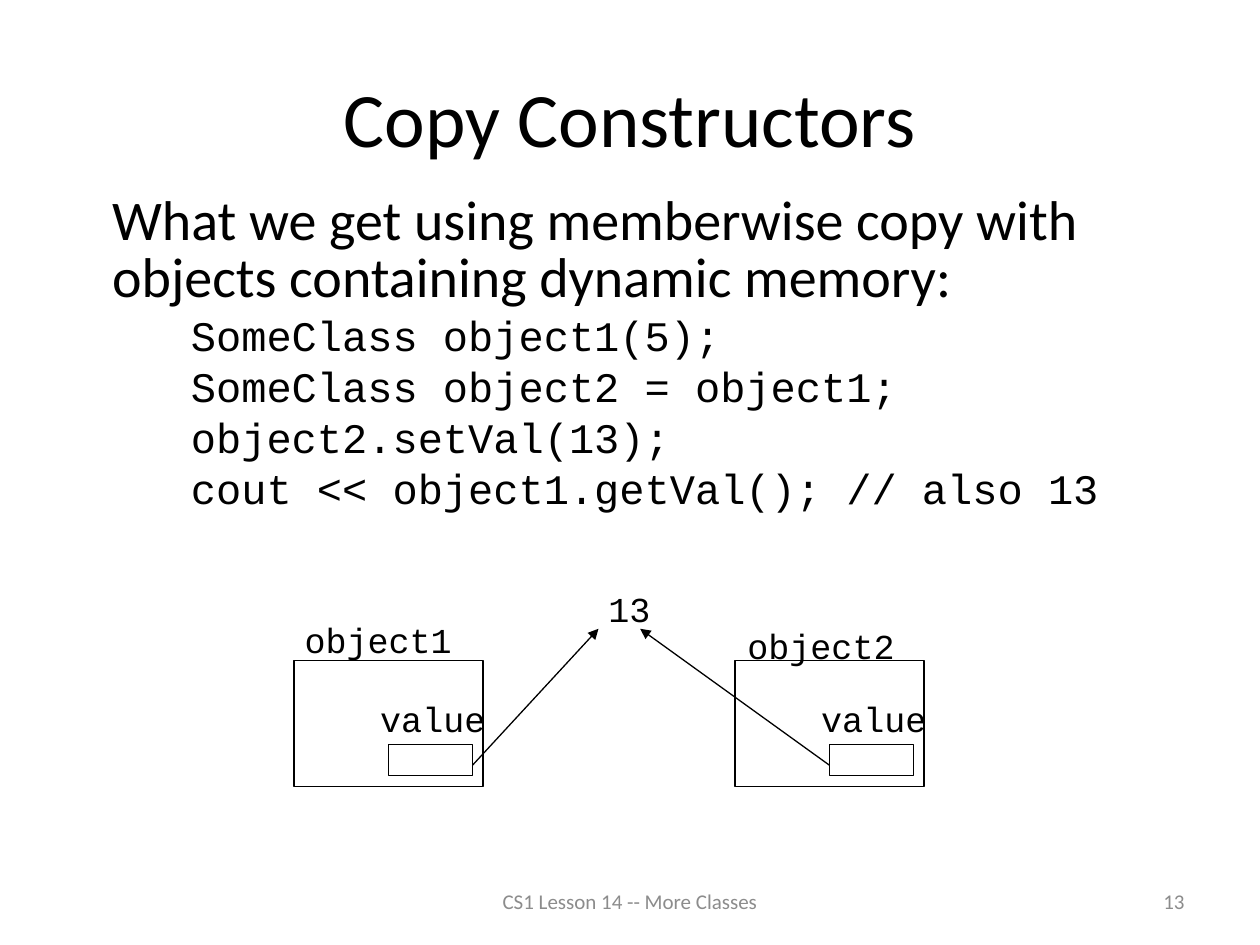
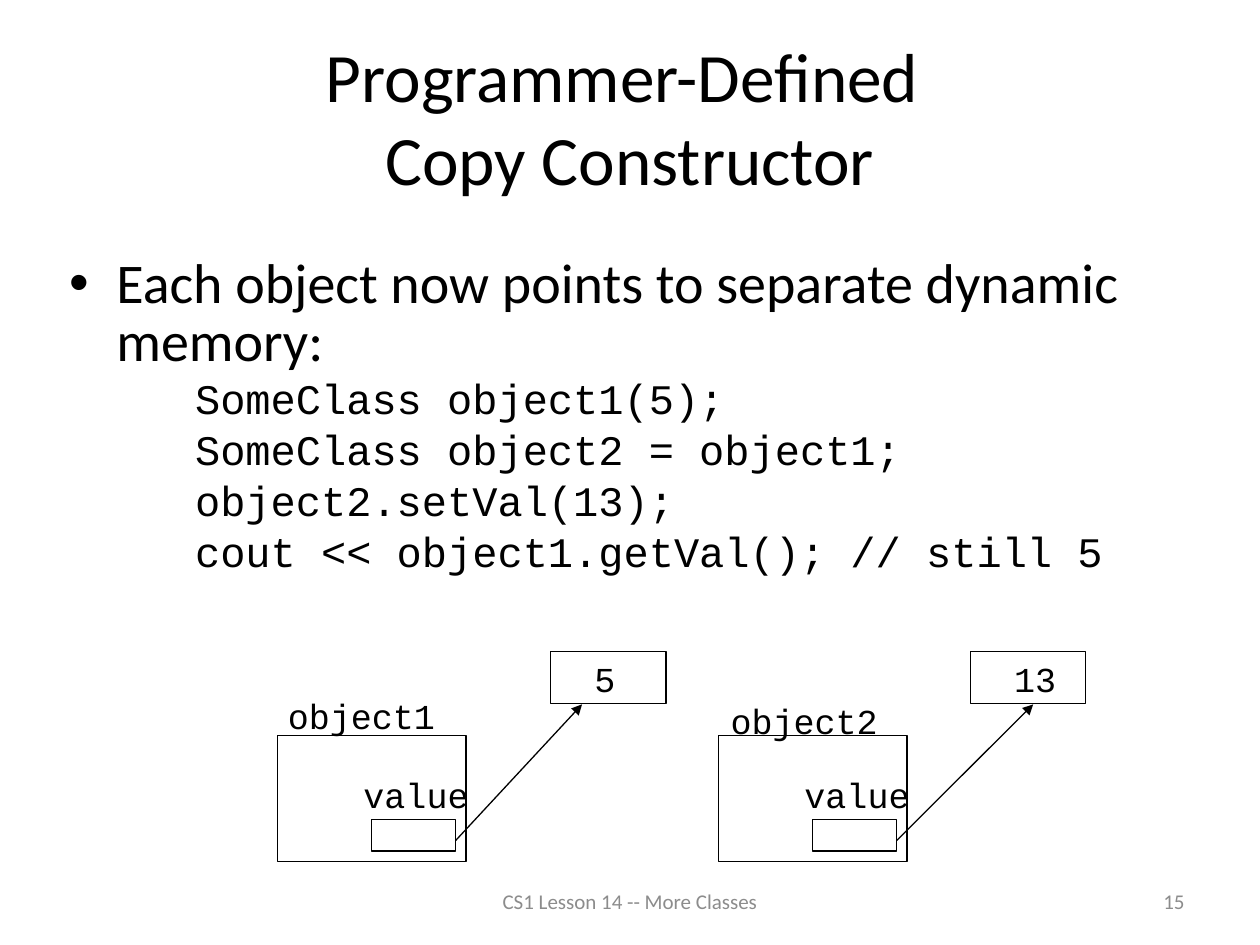
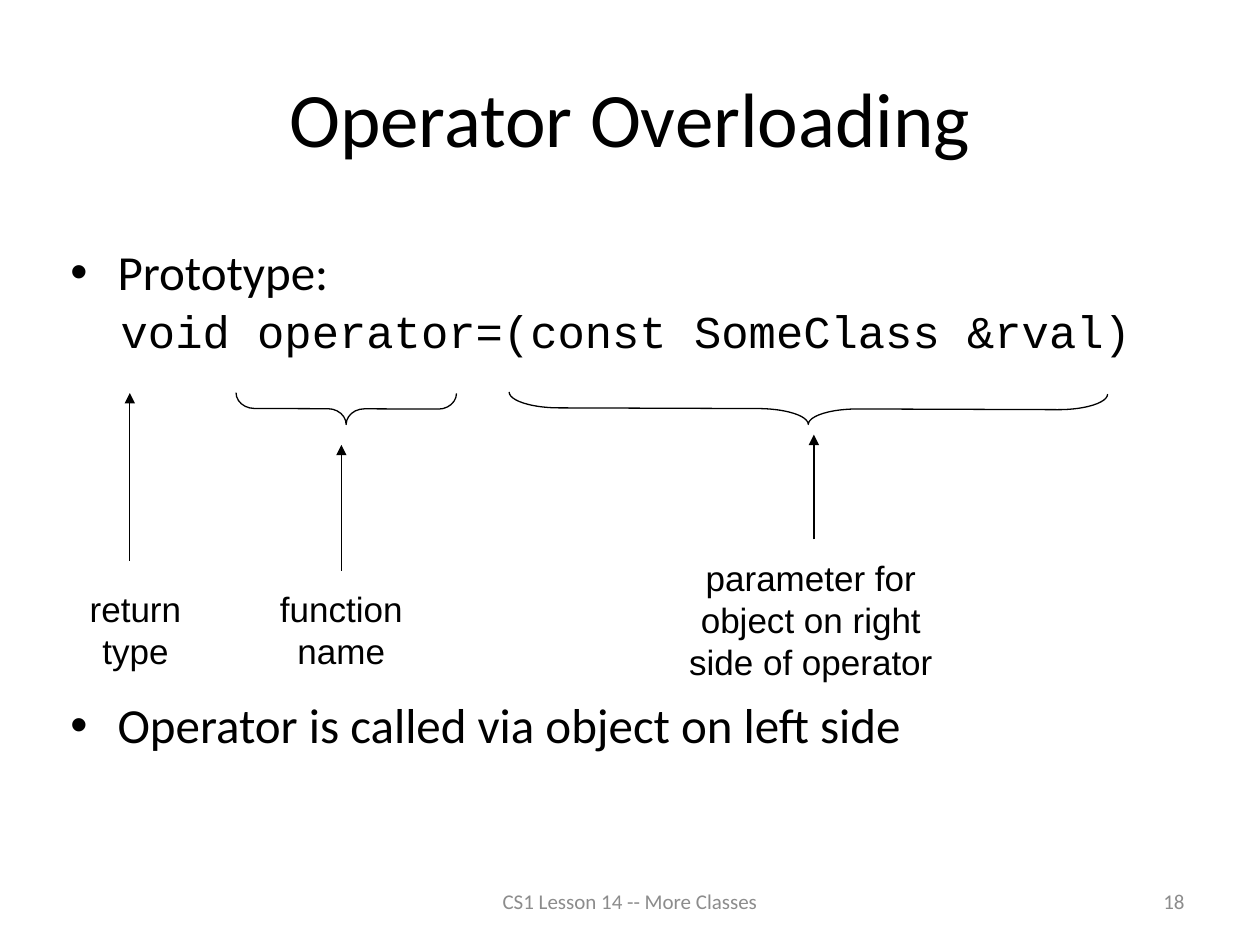
from dataclasses import dataclass
from pptx import Presentation
from pptx.dml.color import RGBColor
from pptx.enum.shapes import MSO_CONNECTOR, MSO_SHAPE
from pptx.enum.text import MSO_ANCHOR, MSO_AUTO_SIZE, PP_ALIGN
from pptx.oxml.ns import qn
from pptx.util import Pt
from lxml.etree import SubElement


@dataclass(frozen=True)
class Theme:
    ink: RGBColor = RGBColor(0, 0, 0)
    muted: RGBColor = RGBColor(0x8C, 0x8C, 0x8C)
    sans: str = "Calibri"
    code: str = "Courier New"
    note: str = "Arial"
    title: float = 44
    title_two_lines: float = 39.6
    lead: float = 32
    point: float = 28
    prototype: float = 26
    listing: float = 24
    label: float = 20
    footer: float = 12
    line: float = 0.75


theme = Theme()
FOOTER = "CS1 Lesson 14 -- More Classes"
LISTING = ["SomeClass object1(5);", "SomeClass object2 = object1;", "object2.setVal(13);"]
TITLE_AREA = (36, 21.6, 648, 90)
FOOTER_AREA = (246, 500.4, 228, 28.8)
NUMBER_AREA = (516, 500.4, 168, 28.8)

LEAD = dict(size=theme.lead, margin=27, spacing=0.85)
CODE = dict(size=theme.listing, font=theme.code, margin=72, spacing=0.85, before=4.6)
POINT = dict(size=theme.point, margin=27, spacing=0.9, bullet=True)
PROTOTYPE = dict(size=theme.prototype, font=theme.code, margin=28.8, spacing=0.9, before=5)

SLIDES = [
    dict(
        number=13, title="Copy Constructors", title_size=theme.title,
        body_area=(30, 108, 660, 366),
        body=[("What we get using memberwise copy with objects containing dynamic memory:", LEAD)]
        + [(text, CODE) for text in LISTING + ["cout << object1.getVal(); // also 13"]],
        objects=(168, 377.3),
        values=[("13", 340.6, 332)],
        pointers=[("right", 342, 359.3), ("left", 365.8, 359.3)],
    ),
    dict(
        number=15, title="Programmer-Defined \vCopy Constructor", title_size=theme.title_two_lines,
        body_area=(32.4, 144, 654, 294.5),
        body=[("Each object now points to separate dynamic memory:", LEAD | dict(bullet=True))]
        + [(text, CODE) for text in LISTING + ["cout << object1.getVal(); // still 5"]],
        objects=(158.4, 420.3),
        values=[("5", 332.6, 372.2), ("13", 572.4, 372.2)],
        cells=[(314.6, 372.2), (554.4, 372.2)],
        pointers=[("right", 332.6, 402.5), ("right", 590.4, 402.5)],
    ),
    dict(
        number=18, title="Operator Overloading", title_size=theme.title,
        body_area=(33.1, 138.2, 654, 294.5),
        body=[
            ("Prototype:", POINT),
            ("void operator=(const SomeClass &rval)", PROTOTYPE),
            ("Operator is called via object on left side", POINT | dict(before=195.5)),
        ],
        notes=[
            (["return", "type"], (42.4, 332.4, 70, 55.4)),
            (["function", "name"], (150, 332.4, 90, 55.4)),
            (["parameter for", "object on right", "side of operator"], (383.4, 314.6, 160, 79.2)),
        ],
        braces=[((188.8, 170.6, 18, 126), 0.58), ((452.9, 62.6, 18, 342), 1.59)],
        arrows=[(74.2, 320.4, 224.6), (195.1, 326.2, 254.2), (465.1, 308.2, 248.4)],
    ),
]


def apply(target, formats):
    for name, value in formats.items():
        setattr(target, name, value)


def add_text(slide, area, lines, wrap=True, anchor=MSO_ANCHOR.TOP, align=PP_ALIGN.LEFT):
    box = slide.shapes.add_textbox(*map(Pt, area))
    apply(box.text_frame, dict(
        word_wrap=wrap, vertical_anchor=anchor,
        auto_size=MSO_AUTO_SIZE.NONE if wrap else MSO_AUTO_SIZE.SHAPE_TO_FIT_TEXT))
    for index, (text, style) in enumerate(lines):
        para = box.text_frame.paragraphs[0] if index == 0 else box.text_frame.add_paragraph()
        para.text = text
        apply(para, dict(alignment=align, line_spacing=style.get("spacing", 1.0),
                         space_before=Pt(style.get("before", 0) if index else 0)))
        for span in para.runs:
            apply(span.font, dict(size=Pt(style["size"]), name=style.get("font", theme.sans)))
            span.font.color.rgb = style.get("color", theme.ink)
        set_indent(para, style)


def set_indent(para, style):
    margin = Pt(style.get("margin", 0))
    properties = para._p.get_or_add_pPr()
    properties.set("marL", str(margin))
    properties.set("indent", str(-margin if style.get("bullet") else 0))
    if style.get("bullet"):
        SubElement(properties, qn("a:buFont"), typeface=theme.note)
        SubElement(properties, qn("a:buChar"), char="•")


def set_line(shape):
    shape.line.color.rgb = theme.ink
    shape.line.width = Pt(theme.line)


def add_outline(slide, kind, area):
    shape = slide.shapes.add_shape(kind, *map(Pt, area))
    shape.shadow.inherit = False
    shape.fill.background()
    set_line(shape)
    return shape


def add_arrow(slide, start, end):
    arrow = slide.shapes.add_connector(MSO_CONNECTOR.STRAIGHT, *map(Pt, start + end))
    set_line(arrow)
    SubElement(arrow.line._get_or_add_ln(), qn("a:tailEnd"), type="triangle")
    SubElement(arrow._element.spPr, qn("a:effectLst"))


def add_label(slide, text, left, top):
    area = (left, top, 14.4 + 12 * len(text), 31)
    add_text(slide, area, [(text, dict(size=theme.label, font=theme.code))], wrap=False)


def draw_objects(slide, content):
    left, top = content["objects"]
    for cell in content.get("cells", []):
        add_outline(slide, MSO_SHAPE.RECTANGLE, cell + (66, 30))
    for index, (side, end_x, end_y) in enumerate(content["pointers"]):
        x = left + 252 * index
        field_x, field_y = x + 54, top + 48
        add_outline(slide, MSO_SHAPE.RECTANGLE, (x, top, 108, 72))
        add_outline(slide, MSO_SHAPE.RECTANGLE, (field_x, field_y, 48, 18))
        add_label(slide, f"object{index + 1}", x - 1 + index, top - 27.2 + 3.2 * index)
        add_label(slide, "value", x + 42.2, top + 18)
        start_x = field_x + (48 if side == "right" else 0)
        add_arrow(slide, (start_x, field_y + 12), (end_x, end_y))
    for value in content["values"]:
        add_label(slide, *value)


def draw_prototype(slide, content):
    for lines, area in content["notes"]:
        style = dict(size=theme.label, font=theme.note)
        add_text(slide, area, [(text, style) for text in lines], wrap=False, align=PP_ALIGN.CENTER)
    for area, curve in content["braces"]:
        brace = add_outline(slide, MSO_SHAPE.RIGHT_BRACE, area)
        brace.rotation = 90.2
        brace.adjustments[0] = curve
    for x, bottom, top in content["arrows"]:
        add_arrow(slide, (x, bottom), (x, top))


def draw_slide(deck, content):
    slide = deck.slides.add_slide(deck.slide_layouts[6])
    small = dict(size=theme.footer, color=theme.muted)
    for area, text, style, align in [
        (TITLE_AREA, content["title"], dict(size=content["title_size"]), PP_ALIGN.CENTER),
        (FOOTER_AREA, FOOTER, small, PP_ALIGN.CENTER),
        (NUMBER_AREA, str(content["number"]), small, PP_ALIGN.RIGHT),
    ]:
        add_text(slide, area, [(text, style)], anchor=MSO_ANCHOR.MIDDLE, align=align)
    add_text(slide, content["body_area"], content["body"])
    draw = draw_objects if "objects" in content else draw_prototype
    draw(slide, content)


deck = Presentation()
apply(deck, dict(slide_width=Pt(720), slide_height=Pt(540)))
for content in SLIDES:
    draw_slide(deck, content)
deck.save("out.pptx")
